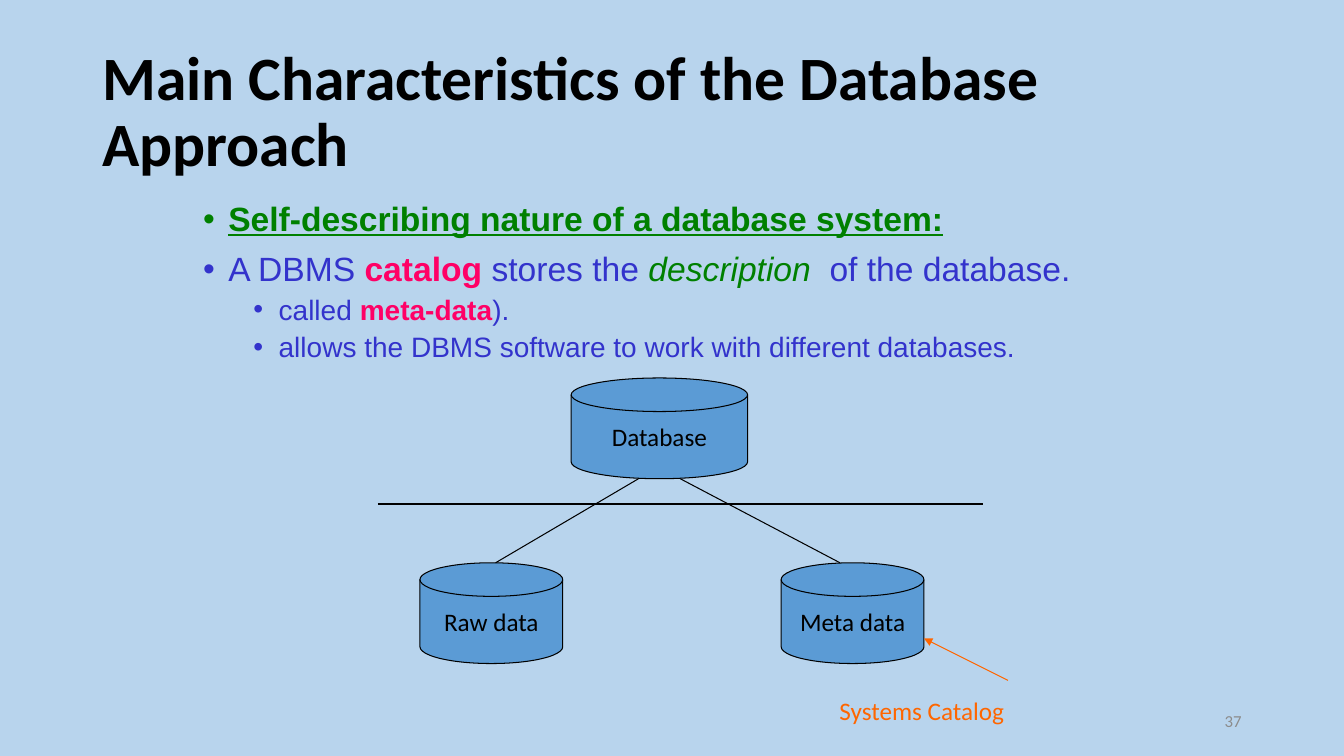
from dataclasses import dataclass, field

from lxml import etree
from pptx import Presentation
from pptx.dml.color import RGBColor
from pptx.enum.shapes import MSO_CONNECTOR, MSO_SHAPE
from pptx.enum.text import MSO_ANCHOR, PP_ALIGN
from pptx.oxml.ns import qn
from pptx.util import Pt

DISK = MSO_SHAPE.FLOWCHART_MAGNETIC_DISK
STRAIGHT = MSO_CONNECTOR.STRAIGHT
TOP, MIDDLE = MSO_ANCHOR.TOP, MSO_ANCHOR.MIDDLE
LEFT, CENTER, RIGHT = PP_ALIGN.LEFT, PP_ALIGN.CENTER, PP_ALIGN.RIGHT

SKY = RGBColor(0xB8, 0xD4, 0xED)
BLUE = RGBColor(0x5B, 0x9B, 0xD5)
BLACK = RGBColor(0x00, 0x00, 0x00)
GREEN = RGBColor(0x00, 0x80, 0x00)
INDIGO = RGBColor(0x33, 0x33, 0xCC)
PINK = RGBColor(0xFF, 0x00, 0x66)
ORANGE = RGBColor(0xFF, 0x66, 0x00)
GRAY = RGBColor(0x8C, 0x8C, 0x8C)

HEADING_FONT, BODY_FONT = "Calibri", "Arial"
LINE_WIDTH = 0.75
BULLET_INDENT = 18
LEVEL_INDENT = 36


@dataclass
class Span:
    text: str
    color: RGBColor = BLACK
    size: float = 18
    font: str = HEADING_FONT
    style: dict = field(default_factory=dict)


@dataclass
class Bullet:
    level: int
    space_before: float
    spans: list[Span]


@dataclass
class Label:
    left: float
    top: float
    width: float
    height: float
    span: Span
    align: PP_ALIGN = LEFT
    anchor: MSO_ANCHOR = MIDDLE
    wrap: bool = True
    line_spacing: float = 1.0


@dataclass
class Disk:
    left: float
    top: float
    width: float
    text: str
    height: float = 72


@dataclass
class Link:
    start: tuple[float, float]
    end: tuple[float, float]
    color: RGBColor = BLACK
    arrow: bool = False


def body_span(text: str, color: RGBColor, size: float, **style: bool) -> Span:
    return Span(text, color, size, BODY_FONT, style)


BULLETS = [
    Bullet(0, 0, [body_span("Self-describing nature of a database system:", GREEN, 24,
                            bold=True, underline=True)]),
    Bullet(0, 10, [
        body_span("A DBMS ", INDIGO, 24),
        body_span("catalog ", PINK, 24, bold=True),
        body_span("stores the ", INDIGO, 24),
        body_span("description ", GREEN, 24, italic=True),
        body_span(" of the database.", INDIGO, 24),
    ]),
    Bullet(1, 5, [
        body_span("called ", INDIGO, 20),
        body_span("meta-data", PINK, 20, bold=True),
        body_span(").", INDIGO, 20),
    ]),
    Bullet(1, 5, [body_span("allows the DBMS software to work with different databases.",
                            INDIGO, 20)]),
]

LABELS = [
    Label(66, 28.75, 828, 104.4,
          Span("Main Characteristics of the Database Approach", size=44, style={"bold": True}),
          line_spacing=0.9),
    Label(592.5, 493, 133, 29, Span("Systems Catalog", ORANGE), anchor=TOP, wrap=False),
    Label(678, 500.5, 216, 28.75, Span("37", GRAY, 12), align=RIGHT),
]

DISKS = [
    Disk(408, 270, 126, "Database"),
    Disk(300, 402, 102, "Raw data"),
    Disk(558, 402, 102, "Meta data"),
]

LINKS = [
    Link((456, 342), (354, 402)),
    Link((486, 342), (600, 402)),
    Link((270, 360), (702, 360)),
    Link((720, 486), (660, 456), ORANGE, arrow=True),
]


def add_span(para, span: Span) -> None:
    run = para.add_run()
    run.text = span.text
    run.font.color.rgb = span.color
    formats = {"name": span.font, "size": Pt(span.size), **span.style}
    for name, value in formats.items():
        setattr(run.font, name, value)


def add_label(page, label: Label) -> None:
    box = page.shapes.add_textbox(Pt(label.left), Pt(label.top),
                                  Pt(label.width), Pt(label.height))
    frame = box.text_frame
    frame.word_wrap = label.wrap
    frame.vertical_anchor = label.anchor
    para = frame.paragraphs[0]
    para.alignment = label.align
    para.line_spacing = label.line_spacing
    add_span(para, label.span)


def add_bullets(page, bullets: list[Bullet]) -> None:
    box = page.shapes.add_textbox(Pt(138), Pt(141), Pt(678), Pt(126))
    frame = box.text_frame
    frame.word_wrap = True
    for index, bullet in enumerate(bullets):
        para = frame.add_paragraph() if index else frame.paragraphs[0]
        para.level = bullet.level
        para.line_spacing = 0.9
        para.space_before = Pt(bullet.space_before)
        properties = para._p.get_or_add_pPr()
        properties.set("marL", str(Pt(BULLET_INDENT + bullet.level * LEVEL_INDENT)))
        properties.set("indent", str(-Pt(BULLET_INDENT)))
        etree.SubElement(properties, qn("a:buFont"), typeface=BODY_FONT)
        etree.SubElement(properties, qn("a:buChar"), char="•")
        for span in bullet.spans:
            add_span(para, span)


def add_disk(page, disk: Disk) -> None:
    shape = page.shapes.add_shape(DISK, Pt(disk.left), Pt(disk.top),
                                  Pt(disk.width), Pt(disk.height))
    shape.shadow.inherit = False
    shape.fill.solid()
    shape.fill.fore_color.rgb = BLUE
    shape.line.color.rgb = BLACK
    shape.line.width = Pt(LINE_WIDTH)
    frame = shape.text_frame
    frame.word_wrap = False
    frame.vertical_anchor = MIDDLE
    frame.paragraphs[0].alignment = CENTER
    add_span(frame.paragraphs[0], Span(disk.text))


def add_link(page, link: Link) -> None:
    points = [Pt(value) for value in (*link.start, *link.end)]
    connector = page.shapes.add_connector(STRAIGHT, *points)
    connector.line.color.rgb = link.color
    connector.line.width = Pt(LINE_WIDTH)
    if link.arrow:
        etree.SubElement(connector.line._get_or_add_ln(), qn("a:tailEnd"), type="triangle")
    etree.SubElement(connector._element.spPr, qn("a:effectLst"))


def main() -> None:
    deck = Presentation()
    deck.slide_width, deck.slide_height = Pt(960), Pt(540)
    page = deck.slides.add_slide(deck.slide_layouts[6])
    page.background.fill.solid()
    page.background.fill.fore_color.rgb = SKY
    add_bullets(page, BULLETS)
    for draw, items in ((add_label, LABELS), (add_disk, DISKS), (add_link, LINKS)):
        for item in items:
            draw(page, item)
    deck.save("out.pptx")


if __name__ == "__main__":
    main()
